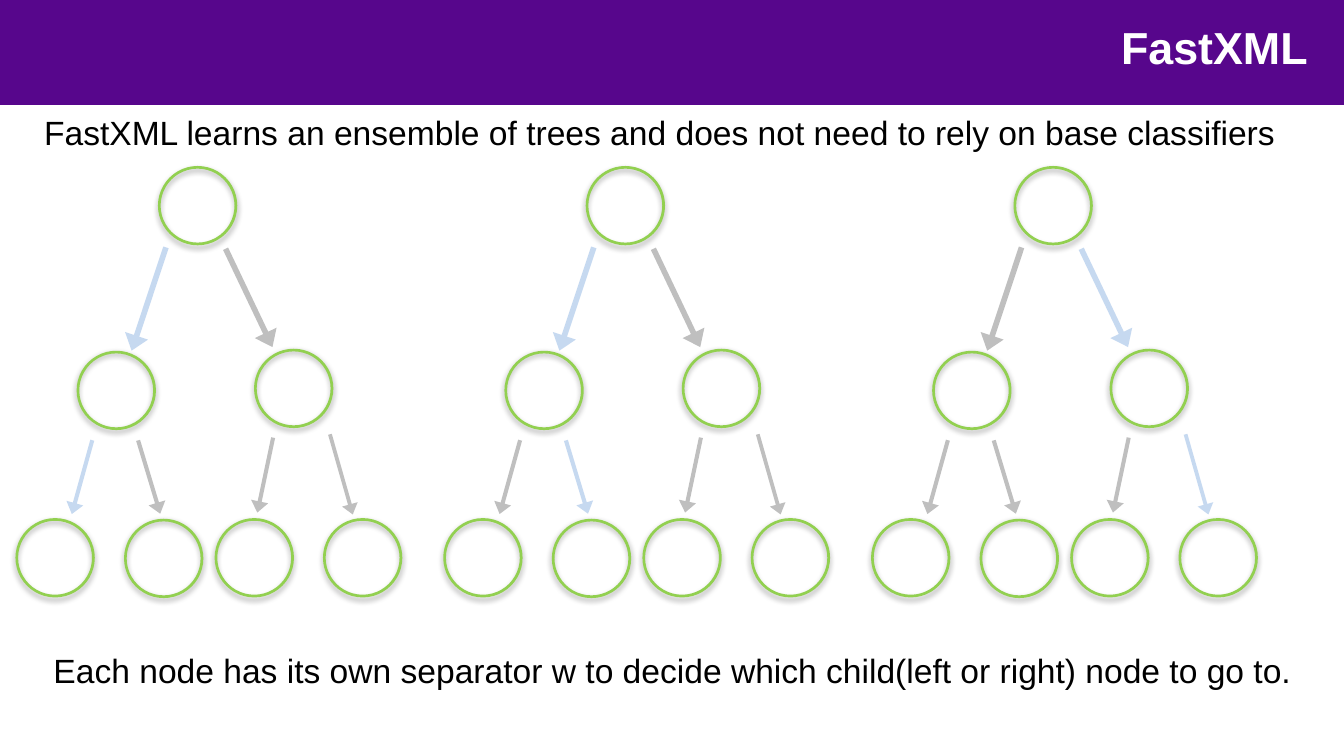
from lxml.etree import SubElement
from pptx import Presentation
from pptx.dml.color import RGBColor
from pptx.enum.shapes import MSO_SHAPE as SHAPE
from pptx.enum.text import MSO_ANCHOR as ANCHOR, MSO_AUTO_SIZE as FIT, PP_ALIGN as ALIGN
from pptx.oxml import parse_xml
from pptx.oxml.ns import nsdecls, qn
from pptx.util import Inches, Pt

WIDTH = Inches(10)
HEIGHT = WIDTH * 9 // 16
CELL = WIDTH / 100  # square grid, 100 columns wide

PURPLE, GREEN, GREY, BLUE = "57068C", "92D050", "808080", "8EB4E3"
BLACK, WHITE = "000000", "FFFFFF"

# Node centres, in cells from the corner of a tree
NODE_SIZE = 5.9
NODES = [(13.5, 3),
         (7.45, 16.75), (20.65, 16.6),
         (2.9, 29.2), (10.98, 29.25), (17.72, 29.2), (25.78, 29.2)]

# Node reached by each branch: centre x, centre y, length, thickness, rotation
BRANCHES = {1: (9.87, 9.95, 8.1, 1.8, 108.4),
            2: (17.33, 9.87, 8.1, 1.8, 64.5),
            3: (4.9, 23.2, 5.7, 1.3, 105.5),
            4: (9.9, 23.2, 5.7, 1.3, 73.2),
            5: (18.53, 23.05, 5.7, 1.3, 101.9),
            6: (24.2, 23, 6.2, 1.2, 74.1)}

TREE_LEFT, TREE_TOP, TREE_PITCH = 1.2, 12.3, 31.83
CHOSEN_PATHS = [(1, 3), (1, 4), (2, 6)]


def color(value):
    return RGBColor.from_string(value)


def cells(*values):
    return [round(v * CELL) for v in values]


def add_filled(s, kind, x, y, w, h, fill):
    sp = s.shapes.add_shape(kind, *cells(x, y, w, h))
    sp.shadow.inherit = False
    sp.fill.solid()
    sp.fill.fore_color.rgb = color(fill)
    sp.line.fill.background()
    return sp


def format_run(p, size, fill, bold=False):
    font = p.runs[0].font
    font.name, font.size, font.bold = "Arial", Pt(size), bold
    font.color.rgb = color(fill)


def add_header(s, text, height):
    bar = add_filled(s, SHAPE.RECTANGLE, 0, 0, 100.1, height, PURPLE)
    title = s.shapes.title
    title._element.addprevious(bar._element)
    title.left, title.top, title.width, title.height = cells(60.9, 1.5, 36.4, 4.6)
    tf = title.text_frame
    tf.text = text
    tf.auto_size = FIT.NONE
    tf.vertical_anchor = ANCHOR.TOP
    tf.margin_left = tf.margin_right = tf.margin_top = tf.margin_bottom = 0
    tf.paragraphs[0].alignment = ALIGN.RIGHT
    format_run(tf.paragraphs[0], 24, WHITE, bold=True)


def add_statement(s, text, x, y, w, h):
    tf = s.shapes.add_textbox(*cells(x, y, w, h)).text_frame
    tf.text = text
    tf.word_wrap = False
    format_run(tf.paragraphs[0], 18, BLACK)


def add_node(s, x, y):
    half = NODE_SIZE / 2
    sp = add_filled(s, SHAPE.DONUT, x - half, y - half, NODE_SIZE, NODE_SIZE, GREEN)
    sp.adjustments[0] = 0.034
    sp._element.spPr.find(qn("a:effectLst")).append(parse_xml(
        f'<a:outerShdw {nsdecls("a")} blurRad="40000" dist="20000" dir="5400000" '
        f'rotWithShape="0"><a:srgbClr val="{BLACK}"><a:alpha val="38000"/>'
        '</a:srgbClr></a:outerShdw>'))


def add_branch(s, x, y, length, thickness, rotation, fill):
    sp = add_filled(s, SHAPE.RIGHT_ARROW, x - length / 2, y - thickness / 2,
                    length, thickness, fill)
    sp.rotation = rotation
    sp.adjustments[0], sp.adjustments[1] = 0.234, 0.646
    rgb = sp._element.spPr.find(".//" + qn("a:srgbClr"))
    SubElement(rgb, qn("a:alpha")).set("val", "50000")


def add_tree(s, left, top, path):
    """Draw one binary tree, with the branches on the chosen path in blue."""
    for x, y in NODES:
        add_node(s, left + x, top + y)
    for child, (x, y, *form) in BRANCHES.items():
        add_branch(s, left + x, top + y, *form, BLUE if child in path else GREY)


def main():
    prs = Presentation()
    prs.slide_width, prs.slide_height = WIDTH, HEIGHT
    s = prs.slides.add_slide(prs.slide_layouts[5])
    add_header(s, "FastXML", 7.8)
    add_statement(s, "FastXML learns an ensemble of trees and does not need "
                  "to rely on base classifiers", 2.3, 7.8, 93.8, 7.1)
    for i, path in enumerate(CHOSEN_PATHS):
        add_tree(s, TREE_LEFT + i * TREE_PITCH, TREE_TOP, path)
    add_statement(s, "Each node has its own separator w to decide which "
                  "child(left or right) node to go to.", 3, 47.9, 94.3, 4)
    prs.save("out.pptx")


if __name__ == "__main__":
    main()
